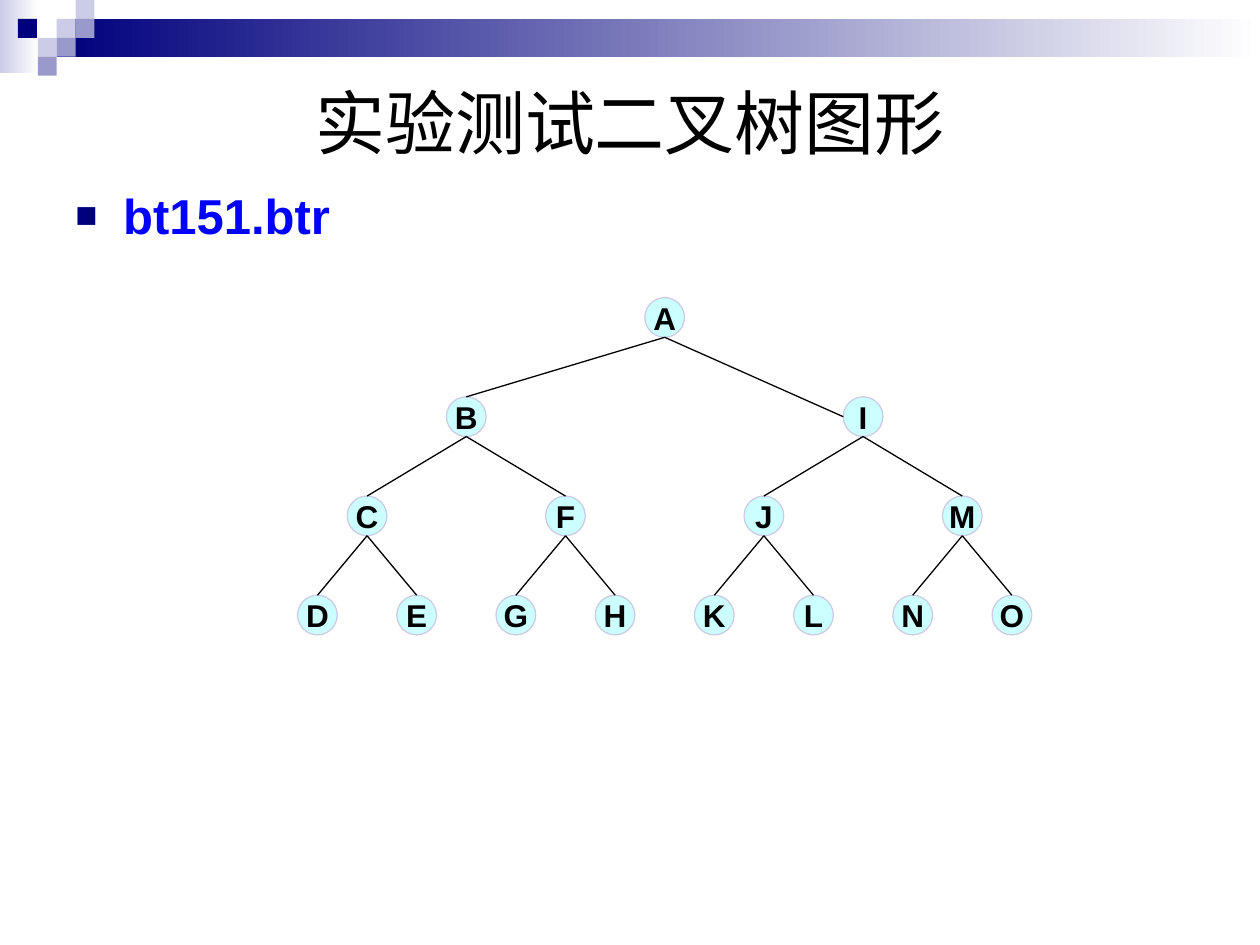
import lxml.etree
import pptx
import pptx.dml.color
import pptx.enum.shapes
import pptx.enum.text
import pptx.oxml
import pptx.oxml.ns
import pptx.util

THEME = {
    "font": "Arial",
    "navy": "00007D", "violet": "9999CC", "lilac": "CCCCE6", "white": "FFFFFF",
    "black": "000000", "blue": "0000FF", "cyan": "CCFFFF",
    "title": 40, "body": 28, "node": 18, "line": 0.75,
}
SHAPE = pptx.enum.shapes.MSO_SHAPE
ANCHOR = pptx.enum.text.MSO_ANCHOR
ALIGN = pptx.enum.text.PP_ALIGN


def color(name):
    return pptx.dml.color.RGBColor.from_string(THEME[name])


def write(box, text, size, ink="black", bold=False, align=ALIGN.CENTER,
          anchor=ANCHOR.MIDDLE, wrap=True):
    frame = box.text_frame
    frame.word_wrap = wrap
    frame.vertical_anchor = anchor
    para = frame.paragraphs[0]
    para.alignment = align
    span = para.add_run()
    span.text = text
    span.font.name = THEME["font"]
    span.font.size = pptx.util.Pt(THEME[size])
    span.font.bold = bold
    span.font.color.rgb = color(ink)
    return para


deck = pptx.Presentation()
deck.slide_width = pptx.util.Inches(10)
deck.slide_height = pptx.util.Inches(7.5)
page = deck.slides.add_slide(deck.slide_layouts[6])
shapes = page.shapes

# Header: bands and squares on a grid of small tiles (column, row, columns, rows)
tile = deck.slide_width * 0.015
header = [
    (0, 0, 2.05, 3.85, "lilac", True),
    (3, 1, 63.67, 2, "navy", True),
    (3, 1, 1, 1, "lilac", False),
    (4, 0, 1, 1, "lilac", False),
    (4, 1, 1, 1, "violet", False),
    (2, 2, 1, 1, "lilac", False),
    (0.95, 1, 1, 1, "navy", False),
    (3, 2, 1, 1, "violet", False),
    (2, 3, 1, 1, "violet", False),
]
for column, row, columns, rows, tint, fades in header:
    block = shapes.add_shape(SHAPE.RECTANGLE, *(
        int(cells * tile) for cells in (column, row, columns, rows)))
    block.shadow.inherit = False
    block.line.fill.background()
    if fades:
        block.fill.gradient()
        block.fill.gradient_angle = 0
        for stop, stop_tint in zip(block.fill.gradient_stops, (tint, "white")):
            stop.color.rgb = color(stop_tint)
    else:
        block.fill.solid()
        block.fill.fore_color.rgb = color(tint)

# Title and bulleted file name share the same margins
margin = int(deck.slide_width * 0.05)
text_width = deck.slide_width - 2 * margin
title_height = int(deck.slide_height * 0.123)
body_top = margin + title_height
title = shapes.add_textbox(margin, margin, text_width, title_height)
write(title, "实验测试二叉树图形", "title")

body = shapes.add_textbox(margin, body_top, text_width, int(deck.slide_height * 0.71))
item = write(body, "bt151.btr", "body", ink="blue", bold=True,
             align=ALIGN.LEFT, anchor=ANCHOR.TOP)
indent = pptx.util.Inches(0.38)
properties = item._p.get_or_add_pPr()
properties.set("marL", str(indent))
properties.set("indent", str(-indent))
namespace = pptx.oxml.ns.nsdecls("a")
for markup in (
    f'<a:spcBef {namespace}><a:spcPct val="20000"/></a:spcBef>',
    f'<a:buClr {namespace}><a:srgbClr val="{THEME["navy"]}"/></a:buClr>',
    f'<a:buSzPct {namespace} val="75000"/>',
    f'<a:buFont {namespace} typeface="{THEME["font"]}"/>',
    f'<a:buChar {namespace} char="■"/>',
):
    properties.append(pptx.oxml.parse_xml(markup))

# Binary tree: leaves one cell apart, levels one cell apart
cell = pptx.util.Cm(2)
diameter = int(0.4 * cell)
first_leaf = 3.2
first_level = 3
levels = ["A", "BI", "CFJM", "DEGHKLNO"]
centers = {}
for depth, labels in enumerate(levels):
    leaves_below = len(levels[-1]) // len(labels)
    top = (first_level + depth) * cell
    for place, label in enumerate(labels):
        column = first_leaf + (place + 0.5) * leaves_below - 0.5
        center = int(column * cell)
        centers[label] = (center, top)
        node = shapes.add_shape(SHAPE.OVAL, center - diameter // 2, top, diameter, diameter)
        node.shadow.inherit = False
        node.fill.solid()
        node.fill.fore_color.rgb = color("cyan")
        node.line.color.rgb = color("lilac")
        node.line.width = pptx.util.Pt(THEME["line"])
        frame = node.text_frame
        frame.margin_left = frame.margin_right = frame.margin_top = frame.margin_bottom = 0
        write(node, label, "node", bold=True, wrap=False)

for parents, children in zip(levels, levels[1:]):
    for place, child in enumerate(children):
        start_x, start_y = centers[parents[place // 2]]
        end_x, end_y = centers[child]
        if child == "I":  # this branch meets the side of its node
            end_x -= diameter // 2
            end_y += diameter // 2
        branch = shapes.add_connector(
            pptx.enum.shapes.MSO_CONNECTOR.STRAIGHT,
            start_x, start_y + diameter, end_x, end_y)
        branch.line.color.rgb = color("black")
        branch.line.width = pptx.util.Pt(THEME["line"])
        lxml.etree.SubElement(branch._element.spPr, pptx.oxml.ns.qn("a:effectLst"))

deck.save("out.pptx")
